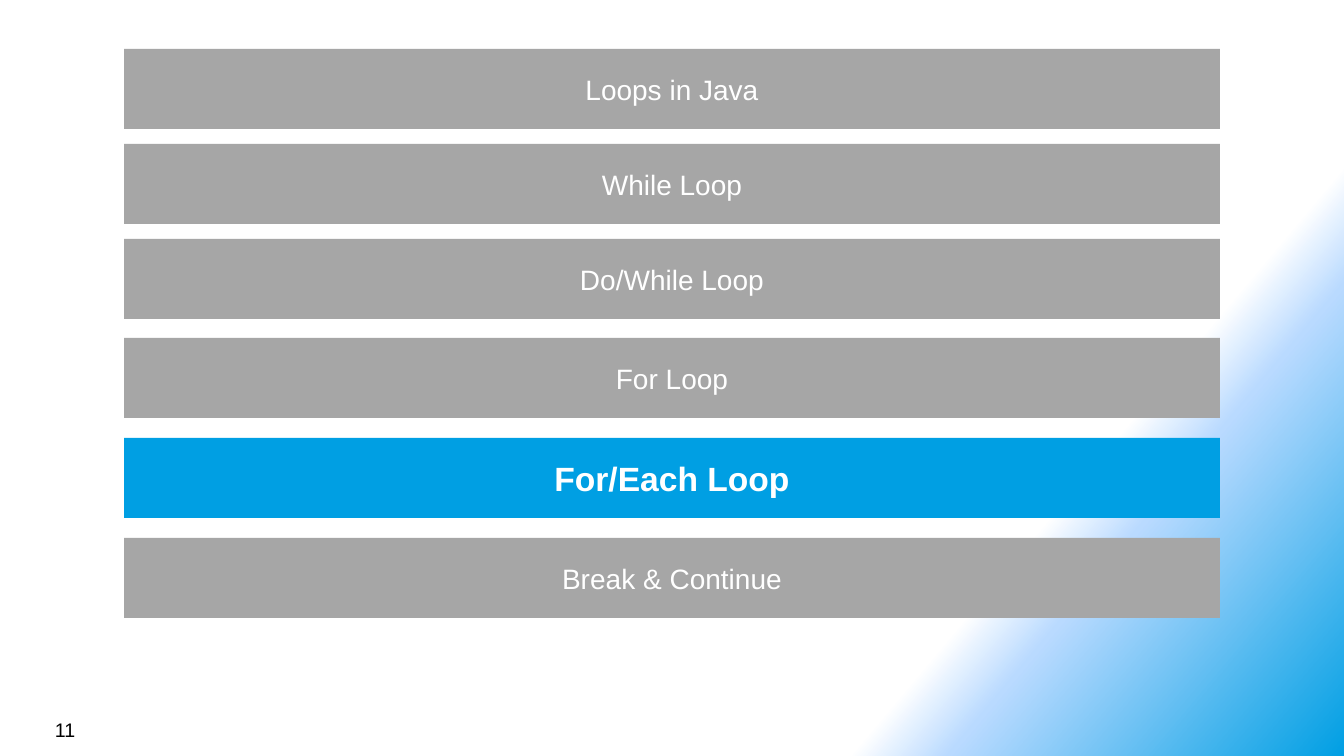
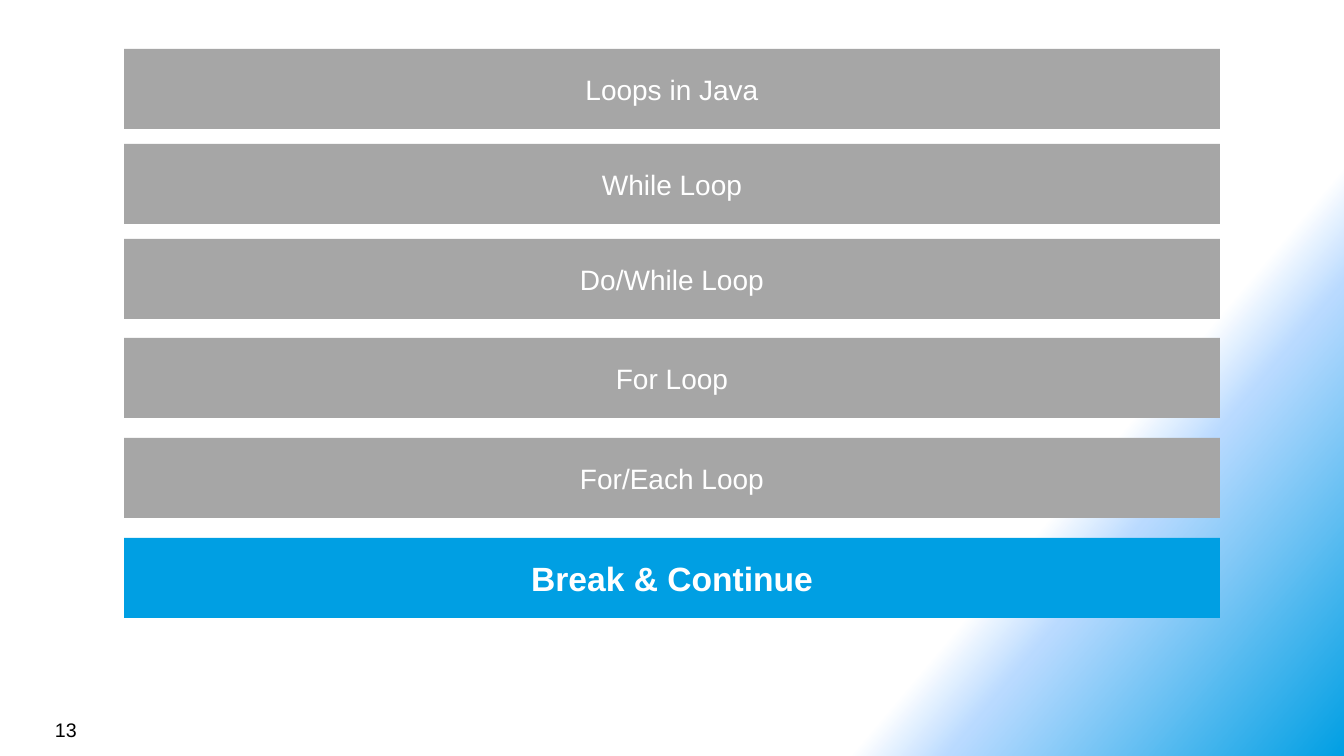
from dataclasses import dataclass
from typing import NamedTuple

from lxml.etree import SubElement
from pptx import Presentation
from pptx.dml.color import RGBColor
from pptx.enum.shapes import MSO_SHAPE
from pptx.enum.text import MSO_ANCHOR, PP_ALIGN
from pptx.oxml.ns import qn
from pptx.presentation import Presentation as Deck
from pptx.slide import Slide, SlideMaster
from pptx.text.text import _Paragraph as Paragraph
from pptx.util import Emu, Pt

SLIDE_WIDTH, SLIDE_HEIGHT = 1344, 756
EMU_PER_PX = 12192000 / SLIDE_WIDTH


class GradientStop(NamedTuple):
    percent: int
    color: str
    opacity: int = 100


class Topic(NamedTuple):
    label: str
    gap_above: int


class Agenda(NamedTuple):
    page: int
    current: str


@dataclass(frozen=True)
class TextStyle:
    size: int
    color: str
    bold: bool = False


@dataclass(frozen=True)
class Theme:
    font: str = "Arial"
    idle_fill: str = "A6A6A6"
    current_fill: str = "009FE3"
    idle_text: TextStyle = TextStyle(20, "FFFFFF")
    current_text: TextStyle = TextStyle(24, "FFFFFF", True)
    page_text: TextStyle = TextStyle(14, "000000")
    backdrop: tuple[GradientStop, ...] = (
        GradientStop(75, "FFFFFF"),
        GradientStop(80, "B9DAFF", 50),
        GradientStop(100, "009FE3"),
    )
    backdrop_angle: int = 40


THEME = Theme()
BAR_LEFT, BAR_WIDTH, BAR_HEIGHT = 124, 1096, 80
TOPICS = (
    Topic("Loops in Java", 49),
    Topic("While Loop", 15),
    Topic("Do/While Loop", 15),
    Topic("For Loop", 19),
    Topic("For/Each Loop", 20),
    Topic("Break & Continue", 20),
)
AGENDAS = (Agenda(11, "For/Each Loop"), Agenda(13, "Break & Continue"))


def px(length: int) -> Emu:
    return Emu(round(length * EMU_PER_PX))


def box(left: int, top: int, width: int, height: int) -> tuple[Emu, ...]:
    return px(left), px(top), px(width), px(height)


def paint_backdrop(master: SlideMaster) -> None:
    master.background.fill.gradient()
    gradient = master.element.find(".//" + qn("a:gradFill"))
    stops = gradient.find(qn("a:gsLst"))
    for default_stop in list(stops):
        stops.remove(default_stop)
    for stop in THEME.backdrop:
        mark = SubElement(stops, qn("a:gs"), pos=str(stop.percent * 1000))
        color = SubElement(mark, qn("a:srgbClr"), val=stop.color)
        if stop.opacity < 100:
            SubElement(color, qn("a:alpha"), val=str(stop.opacity * 1000))
    direction = gradient.find(qn("a:lin"))
    direction.set("ang", str(THEME.backdrop_angle * 60000))
    direction.set("scaled", "0")


def add_run(paragraph: Paragraph, text: str, style: TextStyle) -> None:
    run = paragraph.add_run()
    run.text = text
    run.font.name = THEME.font
    run.font.size = Pt(style.size)
    run.font.bold = style.bold
    run.font.color.rgb = RGBColor.from_string(style.color)


def add_topic_bar(slide: Slide, label: str, top: int, is_current: bool) -> None:
    bar = slide.shapes.add_shape(
        MSO_SHAPE.RECTANGLE, *box(BAR_LEFT, top, BAR_WIDTH, BAR_HEIGHT)
    )
    bar.shadow.inherit = False
    bar.fill.solid()
    fill = THEME.current_fill if is_current else THEME.idle_fill
    bar.fill.fore_color.rgb = RGBColor.from_string(fill)
    bar.line.fill.background()
    bar.text_frame.vertical_anchor = MSO_ANCHOR.MIDDLE
    paragraph = bar.text_frame.paragraphs[0]
    paragraph.alignment = PP_ALIGN.CENTER
    add_run(paragraph, label, THEME.current_text if is_current else THEME.idle_text)


def add_page_number(slide: Slide, page: int) -> None:
    footer = slide.shapes.add_textbox(*box(45, 713, 313, 33)).text_frame
    footer.word_wrap = True
    add_run(footer.paragraphs[0], str(page), THEME.page_text)


def add_agenda(deck: Deck, agenda: Agenda) -> None:
    slide = deck.slides.add_slide(deck.slide_layouts[6])
    top = 0
    for topic in TOPICS:
        top += topic.gap_above
        add_topic_bar(slide, topic.label, top, topic.label == agenda.current)
        top += BAR_HEIGHT
    add_page_number(slide, agenda.page)


def main() -> None:
    deck = Presentation()
    deck.slide_width, deck.slide_height = px(SLIDE_WIDTH), px(SLIDE_HEIGHT)
    paint_backdrop(deck.slide_master)
    for agenda in AGENDAS:
        add_agenda(deck, agenda)
    deck.save("out.pptx")


if __name__ == "__main__":
    main()
